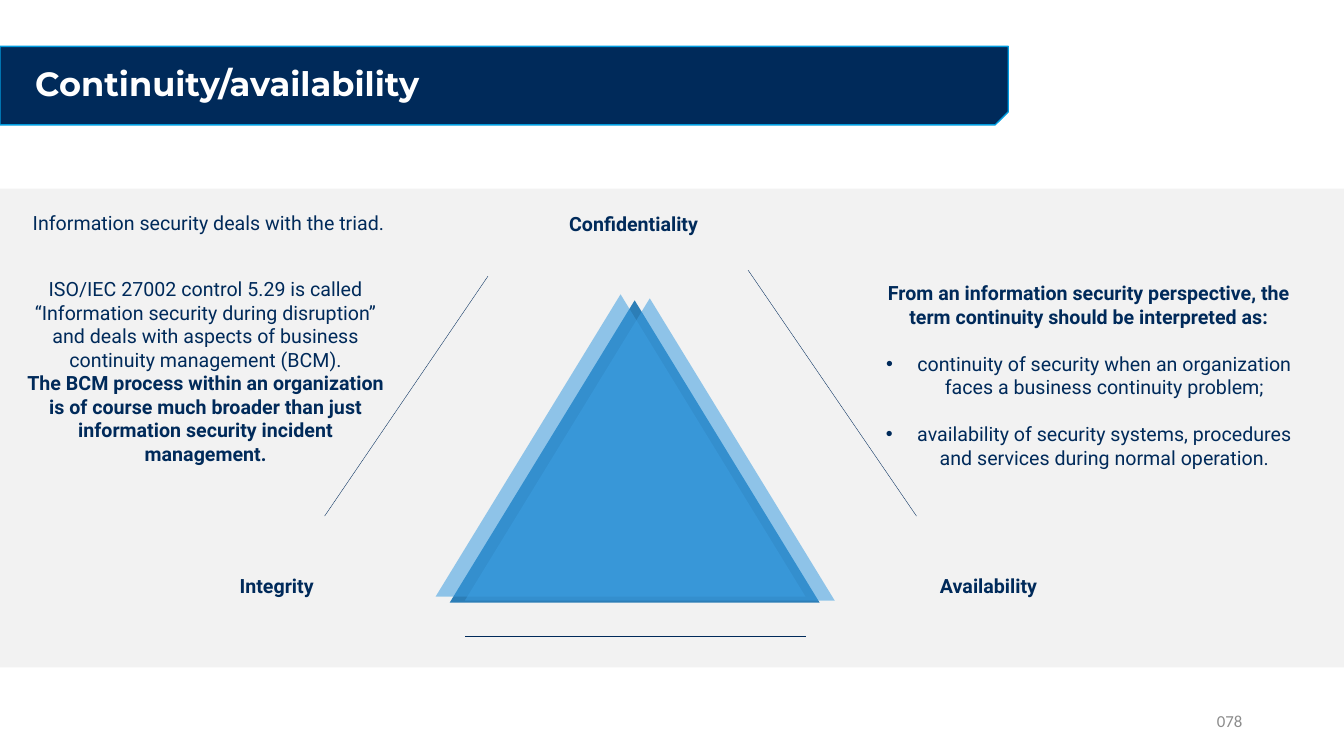
from lxml.etree import SubElement
from pptx import Presentation
from pptx.dml.color import RGBColor
from pptx.enum.shapes import MSO_CONNECTOR, MSO_SHAPE
from pptx.enum.text import MSO_ANCHOR, PP_ALIGN
from pptx.oxml.ns import qn
from pptx.util import Inches, Pt

NAVY = "002A5A"
BAND_GRAY = "F2F2F2"
BLANK_LINE = 16.8


def color(value):
    return RGBColor.from_string(value)


def add_filled_shape(slide, kind, left, top, width, height, fill, opacity=None):
    shape = slide.shapes.add_shape(
        kind, Inches(left), Inches(top), Inches(width), Inches(height))
    shape.shadow.inherit = False
    shape.fill.solid()
    shape.fill.fore_color.rgb = color(fill)
    shape.line.fill.background()
    if opacity is not None:
        fill_color = shape._element.spPr.find(qn("a:solidFill"))[0]
        SubElement(fill_color, qn("a:alpha"), val=str(opacity * 1000))
    return shape


def add_bullet(paragraph):
    properties = paragraph._p.get_or_add_pPr()
    properties.set("marL", str(Inches(0.31)))
    properties.set("indent", str(-Inches(0.31)))
    bullet_color = SubElement(properties, qn("a:buClr"))
    SubElement(bullet_color, qn("a:srgbClr"), val=NAVY)
    SubElement(properties, qn("a:buFont"), typeface="Arial")
    SubElement(properties, qn("a:buChar"), char="•")


def add_text(slide, left, top, width, height, paragraphs, size=14, name="Roboto",
             text_color=NAVY, align=PP_ALIGN.CENTER, anchor=MSO_ANCHOR.TOP):
    box = slide.shapes.add_textbox(
        Inches(left), Inches(top), Inches(width), Inches(height))
    frame = box.text_frame
    frame.word_wrap = True
    frame.vertical_anchor = anchor
    for index, (text, bold, bulleted) in enumerate(paragraphs):
        paragraph = frame.add_paragraph() if index else frame.paragraphs[0]
        paragraph.text = text
        paragraph.alignment = align
        if bulleted:
            paragraph.space_before = Pt(BLANK_LINE)
            add_bullet(paragraph)
        font = paragraph.font
        font.name = name
        font.size = Pt(size)
        font.bold = bold
        font.color.rgb = color(text_color)
    return frame


def add_side_line(slide, start_x, start_y, end_x, end_y):
    line = slide.shapes.add_connector(
        MSO_CONNECTOR.STRAIGHT, Inches(start_x), Inches(start_y),
        Inches(end_x), Inches(end_y))
    line.line.color.rgb = color(NAVY)
    line.line.width = Pt(0.25)
    SubElement(line._element.spPr, qn("a:effectLst"))


def add_title_banner(slide, left, top, width, height):
    banner = add_filled_shape(
        slide, MSO_SHAPE.SNIP_ROUND_RECTANGLE, left, top, width, height, NAVY)
    banner.adjustments[0] = 0
    banner.adjustments[1] = 0.167
    banner._element.spPr.find(qn("a:xfrm")).set("flipV", "1")
    banner.line.color.rgb = color("009DE0")
    banner.line.width = Pt(1)
    frame = add_text(
        slide, left + 0.25, top, width - 0.5, height,
        [("Continuity/availability", True, False)], size=24, name="Montserrat",
        text_color="FFFFFF", align=PP_ALIGN.LEFT, anchor=MSO_ANCHOR.MIDDLE)
    frame.paragraphs[0].line_spacing = 0.9


def add_triad(slide, left, top):
    for x, y, fill, opacity in [
        (1.24, 0.3, "2C7EB7", None),
        (1.1, 0.24, "3C9EE1", 55),
        (1.39, 0.28, "3C9EE1", 55),
    ]:
        add_filled_shape(slide, MSO_SHAPE.ISOSCELES_TRIANGLE,
                         left + x, top + y, 3.67, 3, fill, opacity)
    for start_x, start_y, end_x, end_y in [
        (0, 2.44, 1.62, 0.06),
        (5.87, 2.44, 4.2, 0),
        (4.77, 3.63, 1.39, 3.63),
    ]:
        add_side_line(slide, left + start_x, top + start_y,
                      left + end_x, top + end_y)
    for label, x, y in [
        ("Confidentiality", 1.65, -0.63),
        ("Integrity", -1.89, 2.96),
        ("Availability", 5.17, 2.96),
    ]:
        add_text(slide, left + x, top + y, 2.83, 0.34, [(label, True, False)])


def add_triad_notes(slide, left, top, width):
    add_text(slide, left + 0.03, top, width, 0.34,
             [("Information security deals with the triad.", False, False)])
    add_text(slide, left, top + 0.66, width, 2.22, [
        ("ISO/IEC 27002 control 5.29 is called “Information security during "
         "disruption” and deals with aspects of business continuity management "
         "(BCM).", False, False),
        ("The BCM process within an organization is of course much broader than "
         "just information security incident management.", True, False),
    ])


def add_continuity_notes(slide, left, top, width, height):
    add_text(slide, left, top, width, height, [
        ("From an information security perspective, the term continuity should "
         "be interpreted as:", True, False),
        ("continuity of security when an organization faces a business "
         "continuity problem;", False, True),
        ("availability of security systems, procedures and services during "
         "normal operation.", False, True),
    ])


def add_page_number(slide, left, top, width, height):
    add_text(slide, left, top, width, height, [("078", False, False)], size=12,
             name="Calibri", text_color="8C8C8C", align=PP_ALIGN.RIGHT,
             anchor=MSO_ANCHOR.MIDDLE)


def main():
    presentation = Presentation()
    presentation.slide_width = Inches(13.33)
    presentation.slide_height = Inches(7.5)
    slide = presentation.slides.add_slide(presentation.slide_layouts[6])
    add_title_banner(slide, 0, 0.46, 10, 0.78)
    add_filled_shape(slide, MSO_SHAPE.RECTANGLE, 0, 1.87, 13.33, 4.75, BAND_GRAY)
    add_triad(slide, 3.22, 2.68)
    add_triad_notes(slide, 0.08, 2.04, 3.92)
    add_continuity_notes(slide, 8.57, 2.74, 4.46, 2.46)
    add_page_number(slide, 9.42, 6.95, 3, 0.4)
    presentation.save("out.pptx")


if __name__ == "__main__":
    main()
